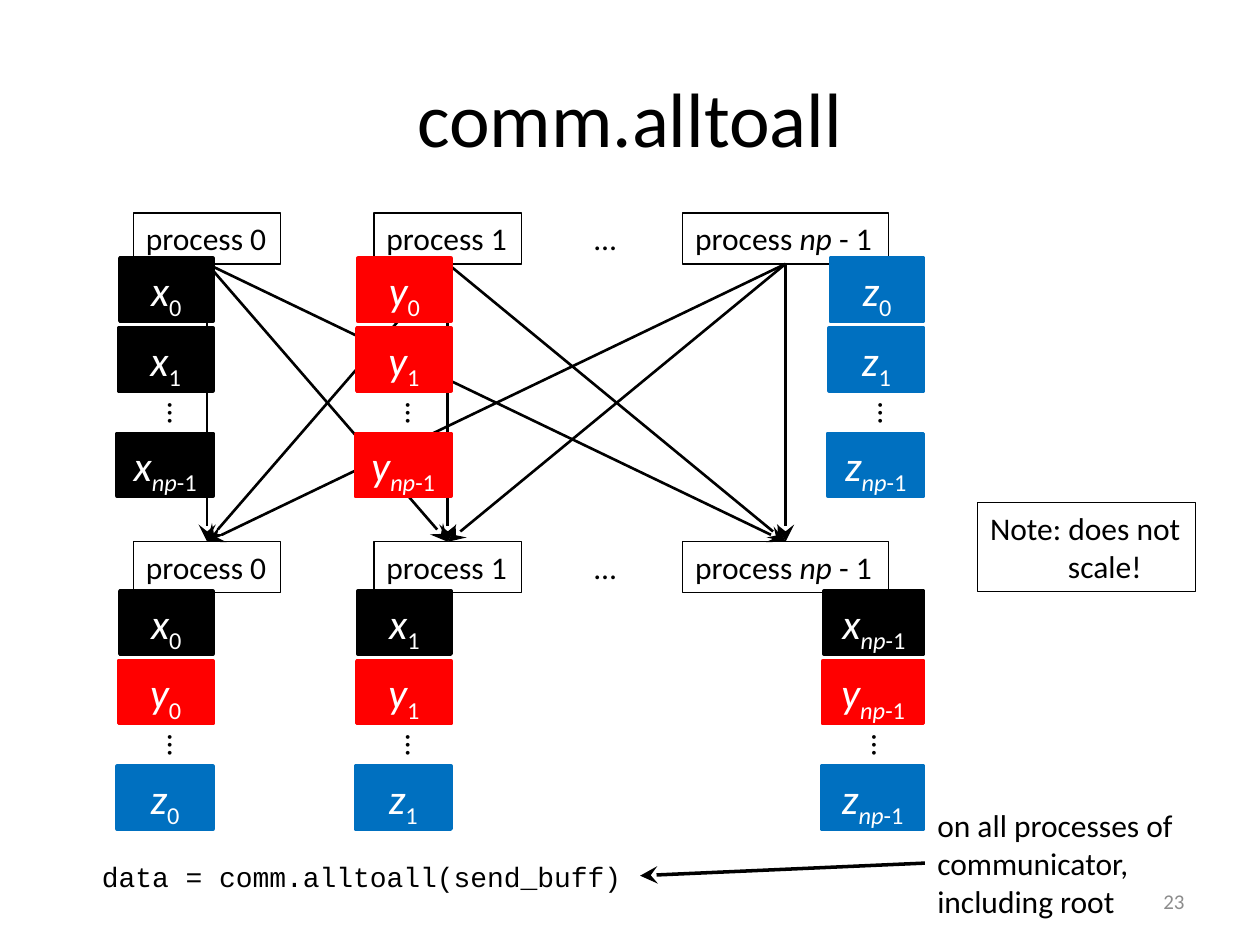
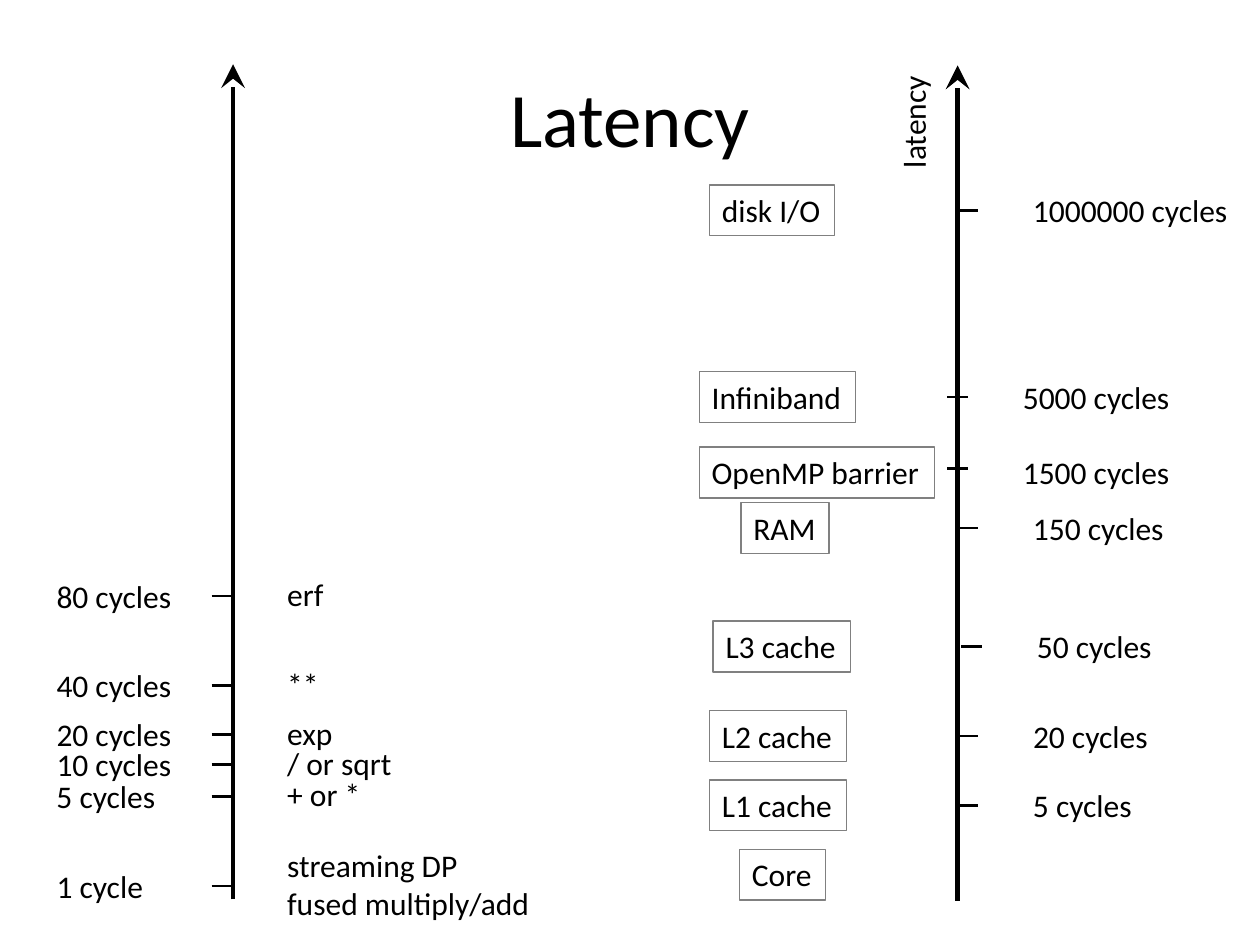
import dataclasses

import lxml.etree
import pptx
import pptx.dml.color
import pptx.enum.shapes
import pptx.enum.text
import pptx.oxml
import pptx.oxml.ns
import pptx.util

Pt = pptx.util.Pt
RGBColor = pptx.dml.color.RGBColor
ALIGN = pptx.enum.text.PP_ALIGN
ANCHOR = pptx.enum.text.MSO_ANCHOR
AUTO_SIZE = pptx.enum.text.MSO_AUTO_SIZE
qn = pptx.oxml.ns.qn


@dataclasses.dataclass(frozen=True)
class Theme:
    ink: str = "000000"
    paper: str = "FFFFFF"
    red: str = "FF0000"
    blue: str = "0070C0"
    frame: str = "808080"
    muted: str = "8C8C8C"
    body_font: str = "Calibri"
    code_font: str = "Courier New"
    title_size: int = 44
    symbol_size: int = 24
    body_size: int = 18
    code_size: int = 16
    number_size: int = 12
    thin: float = 0.75
    arrow: float = 1.5
    card_edge: float = 2
    axis: float = 2.75


theme = Theme()


def add_label(slide, box, paragraphs, size=theme.body_size, color=theme.ink, font=theme.body_font,
              fill=None, border=None, border_width=theme.thin, align=ALIGN.LEFT,
              anchor=ANCHOR.TOP, grow=True, wrap=False, rotation=0):
    lengths = [Pt(value) for value in box]
    if border:
        label = slide.shapes.add_shape(pptx.enum.shapes.MSO_SHAPE.RECTANGLE, *lengths)
        label.shadow.inherit = False
        label.line.color.rgb = RGBColor.from_string(border)
        label.line.width = Pt(border_width)
        if fill:
            label.fill.solid()
            label.fill.fore_color.rgb = RGBColor.from_string(fill)
        else:
            label.fill.background()
    else:
        label = slide.shapes.add_textbox(*lengths)
    label.rotation = rotation
    frame = label.text_frame
    frame.word_wrap = wrap
    frame.auto_size = AUTO_SIZE.SHAPE_TO_FIT_TEXT if grow else AUTO_SIZE.NONE
    frame.vertical_anchor = anchor
    if isinstance(paragraphs, str):
        paragraphs = [[(line, "")] for line in paragraphs.split("\n")]
    for index, runs in enumerate(paragraphs):
        paragraph = frame.add_paragraph() if index else frame.paragraphs[0]
        paragraph.alignment = align
        for text, style in runs:
            run = paragraph.add_run()
            run.text = text
            run.font.name = font
            run.font.size = Pt(size)
            run.font.color.rgb = RGBColor.from_string(color)
            run.font.italic = "italic" in style
            if "sub" in style:
                run._r.get_or_add_rPr().set("baseline", "-25000")
    return label


def add_line(slide, start, end, width, arrow=False):
    line = slide.shapes.add_connector(
        pptx.enum.shapes.MSO_CONNECTOR.STRAIGHT, *[Pt(value) for value in (*start, *end)])
    line.line.color.rgb = RGBColor.from_string(theme.ink)
    line.line.width = Pt(width)
    properties = line._element.spPr
    if arrow:
        outline = properties.find(qn("a:ln"))
        lxml.etree.SubElement(outline, qn("a:tailEnd"), type="stealth", w="lg", len="lg")
    lxml.etree.SubElement(properties, qn("a:effectLst"))


deck = pptx.Presentation()
deck.slide_width, deck.slide_height = Pt(720), Pt(540)
alltoall, latency = [deck.slides.add_slide(deck.slide_layouts[6]) for _ in range(2)]
for slide, title in ((alltoall, "comm.alltoall"), (latency, "Latency")):
    add_label(slide, (36, 21.6, 648, 90), title, size=theme.title_size, align=ALIGN.CENTER,
              anchor=ANCHOR.MIDDLE, grow=False, wrap=True)

processes = [
    (76.3, 84.2, [("process 0", "")]),
    (213.8, 84.2, [("process 1", "")]),
    (390.2, 117.4, [("process ", ""), ("np", "italic"), (" - 1", "")]),
]
send_top, receive_top, box_height = 121.7, 309.6, 29.1
for top in (send_top, receive_top):
    for left, width, process in processes:
        add_label(alltoall, (left, top, width, box_height), [process], border=theme.ink)
    add_label(alltoall, (332.6, top, 27.4, box_height), "…")

centers = [left + width / 2 for left, width, _ in processes]
for sender in centers:
    for receiver in centers:
        add_line(alltoall, (sender, send_top + box_height), (receiver, receive_top),
                 theme.arrow, arrow=True)

symbols = [("x", theme.ink), ("y", theme.red), ("z", theme.blue)]
subscripts = [[("0", "sub")], [("1", "sub")], [("np", "italic sub"), ("-1", "sub")]]
card_rows = [(0, 53.3), (39.8, 54), (100, 54.7)]
column_rights = [121.7, 257.8, 527.8]
for stack_top, received in ((147.6, False), (337.8, True)):
    for column, right in enumerate(column_rights):
        extra = 3.6 if received and column == 2 else 0
        for row, (offset, width) in enumerate(card_rows):
            symbol, color = symbols[row if received else column]
            subscript = subscripts[column if received else row]
            add_label(alltoall, (right - width - extra, stack_top + offset, width + extra, 36),
                      [[(symbol, "italic"), *subscript]], size=theme.symbol_size,
                      color=theme.paper, fill=color, border=color,
                      border_width=theme.card_edge, align=ALIGN.CENTER, grow=False)
        add_label(alltoall, (right - 32.4 - extra, stack_top + 74.2, 27.4, box_height), "…",
                  rotation=90)

note = add_label(alltoall, (558.7, 287.3, 124.6, 50.9), "Note: does not\nscale!",
                 border=theme.ink)
note.text_frame.paragraphs[1]._p.get_or_add_pPr().set("marL", str(Pt(44.5)))
add_label(alltoall, (51.1, 487.4, 325.4, 26.6), "data = comm.alltoall(send_buff)",
          size=theme.code_size, font=theme.code_font, wrap=True)
add_label(alltoall, (528.5, 457.2, 150.5, 72.7),
          "on all processes of\ncommunicator,\nincluding root")
add_line(alltoall, (528.5, 493.2), (365.8, 500.4), 2, arrow=True)
add_label(alltoall, (516.2, 500.4, 167.8, 28.8), "23", size=theme.number_size,
          color=theme.muted, align=ALIGN.RIGHT, anchor=ANCHOR.MIDDLE, grow=False, wrap=True)

for axis_x, bottom, top in ((133.2, 514, 36.7), (547.2, 514.8, 37.4)):
    add_line(latency, (axis_x, bottom), (axis_x, top), theme.axis, arrow=True)
add_label(latency, (488.2, 54.7, 67.7, box_height), "latency", rotation=270)

digit_width, cycles_margin = 9.1, 3
memory_levels = [
    ("Core", 422.6, 49, 499.8, None, None),
    ("L1 cache", 405.4, 78.5, 460.2, "5 cycles", 547.2),
    ("L2 cache", 405.4, 78.5, 420.6, "20 cycles", 547.2),
    ("L3 cache", 407.5, 78.5, 369.4, "50 cycles", 549.4),
    ("RAM", 423.4, 50.4, 301.7, "150 cycles", 547.2),
    ("OpenMP barrier", 399.6, 134.6, 270, "1500 cycles", 541.4),
    ("Infiniband", 399.6, 89.3, 226.9, "5000 cycles", 541.4),
    ("disk I/O", 405.4, 71.3, 120.2, "1000000 cycles", 547.2),
]
for level, left, width, middle, cycles, tick_left in memory_levels:
    top = middle - box_height / 2
    add_label(latency, (left, top, width, box_height), level, border=theme.frame)
    if cycles:
        cycles_width = digit_width * len(cycles) + cycles_margin
        add_label(latency, (tick_left + 36, top, cycles_width, box_height), cycles,
                  grow=False, wrap=True)
        tick_y = middle - 2.2 if level == "OpenMP barrier" else middle
        add_line(latency, (tick_left, tick_y), (tick_left + 11.5, tick_y), theme.arrow)

operations = [
    ("streaming DP\nfused multiply/add", 154.8, 506.2, "1 cycle"),
    ("+ or *", 56.9, 455, "5 cycles"),
    ("/ or sqrt", 74.9, 437, "10 cycles"),
    ("exp", 41, 419.8, "20 cycles"),
    ("**", 32.4, 391.7, "40 cycles"),
    ("erf", 35.3, 340.6, "80 cycles"),
]
for operation, width, middle, cycles in operations:
    height = 50.9 if "\n" in operation else box_height
    cycles_width = digit_width * len(cycles) + cycles_margin
    add_label(latency, (25.2, middle - box_height / 2, cycles_width, box_height), cycles,
              grow=False, wrap=True)
    add_label(latency, (157, middle - 0.9 - height / 2, width, height), operation)
    add_line(latency, (121, middle), (131.8, middle), theme.arrow)

deck.save("out.pptx")
